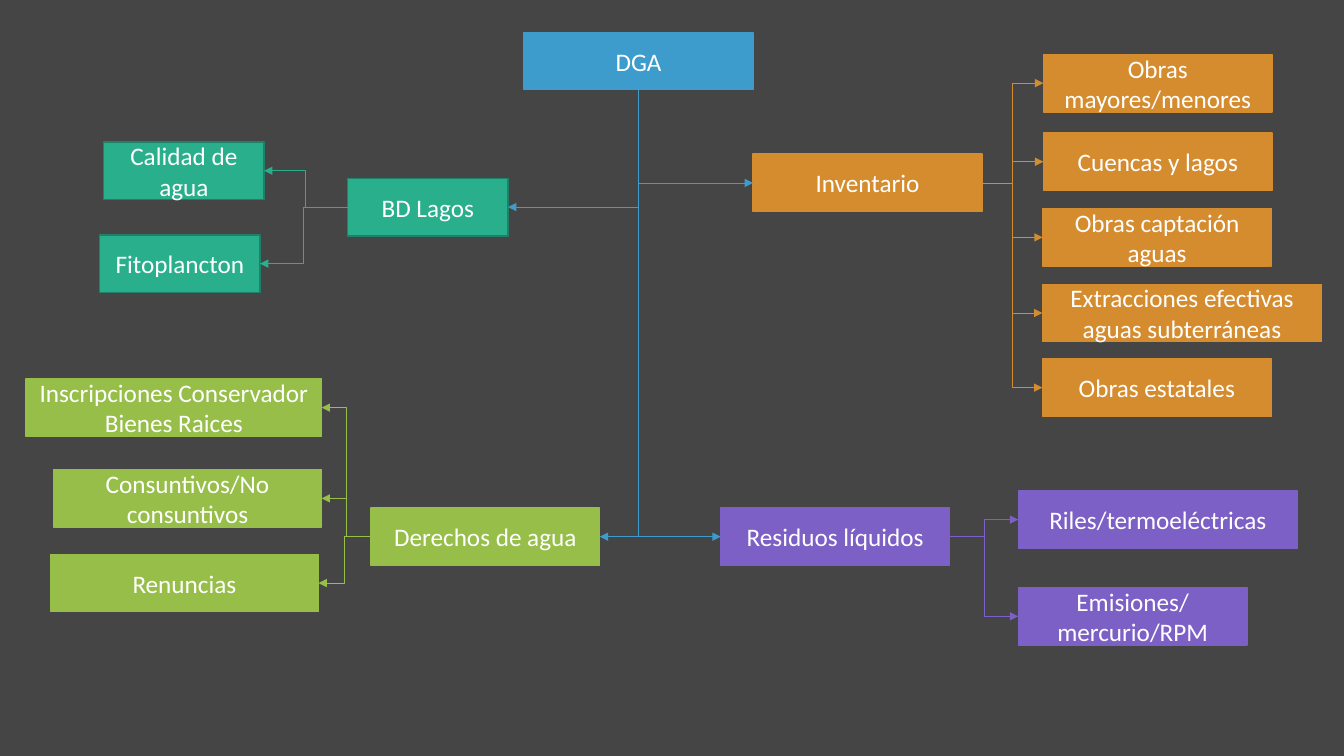
from dataclasses import dataclass

from lxml import etree
from pptx import Presentation
from pptx.dml.color import RGBColor
from pptx.enum.shapes import MSO_CONNECTOR, MSO_SHAPE
from pptx.enum.text import MSO_ANCHOR, PP_ALIGN
from pptx.oxml.ns import qn
from pptx.util import Inches, Pt

RECT = MSO_SHAPE.RECTANGLE
ELBOW = MSO_CONNECTOR.ELBOW
MIDDLE = MSO_ANCHOR.MIDDLE
CENTER = PP_ALIGN.CENTER
LEFT, BOTTOM, RIGHT = 1, 2, 3


@dataclass(frozen=True)
class Theme:
    """Colours, type and line sizes of the slide."""
    back: str = "454545"
    text: str = "FFFFFF"
    blue: str = "3D9CCC"
    teal: str = "29AF8C"
    pine: str = "1E8168"
    lime: str = "97BE49"
    gold: str = "D58C2E"
    plum: str = "7C60C6"
    font: str = "Calibri"
    size: int = 18
    edge: float = 1
    wire: float = 0.5


T = Theme()
deck = Presentation()
deck.slide_width, deck.slide_height = Inches(13.333), Inches(7.5)
COL, ROW = deck.slide_width / 100, deck.slide_height / 100
NARROW, BASE, BROAD, WIDE, HIGH = 11.93, 17.03, 19.95, 20.78, 7.6


def rgb(code):
    """Return the colour of a hex code."""
    return RGBColor.from_string(code)


def write(shape, text, size=T.size, color=T.text, align=CENTER):
    """Put formatted text in a shape."""
    frame = shape.text_frame
    frame.word_wrap = True
    frame.vertical_anchor = MIDDLE
    para = frame.paragraphs[0]
    para.alignment = align
    run = para.add_run()
    run.text = text
    run.font.name = T.font
    run.font.size = Pt(size)
    run.font.color.rgb = rgb(color)


def node(slide, text, left, top, width, fill, edge=None):
    """Draw one labelled box, placed in columns and rows."""
    shape = slide.shapes.add_shape(
        RECT, round(left * COL), round(top * ROW),
        round(width * COL), round(HIGH * ROW))
    shape.shadow.inherit = False
    shape.fill.solid()
    shape.fill.fore_color.rgb = rgb(fill)
    shape.line.color.rgb = rgb(edge or fill)
    shape.line.width = Pt(T.edge)
    write(shape, text)
    return shape


def link(slide, start, out, end, into, color):
    """Join two boxes with an elbow arrow."""
    wire = slide.shapes.add_connector(ELBOW, 0, 0, 0, 0)
    wire.begin_connect(start, out)
    wire.end_connect(end, into)
    wire.line.color.rgb = rgb(color)
    wire.line.width = Pt(T.wire)
    props = wire._element.spPr
    etree.SubElement(props.find(qn("a:ln")), qn("a:tailEnd"), type="triangle")
    etree.SubElement(props, qn("a:effectLst"))
    return wire


def drop(slide, root, hub, into):
    """Run an arrow down from the root, then across to a hub."""
    wire = link(slide, root, BOTTOM, hub, into, T.blue)
    wide, high = wire.width, wire.height
    wire.left += (wide - high) // 2
    wire.top += (high - wide) // 2
    wire.width, wire.height = high, wide
    props = wire._element.spPr
    props.find(qn("a:prstGeom")).set("prst", "bentConnector2")
    frame = props.find(qn("a:xfrm"))
    frame.set("rot", str((90 if into == RIGHT else 270) * 60000))
    frame.set("flipH", "0" if into == RIGHT else "1")
    frame.set("flipV", "0")


def branch(slide, box, side, hub, leaves, fill, edge=None):
    """Draw a hub with its leaves on one side and return the hub."""
    left, top, width = box
    text, row, wide = hub
    start = left if side == RIGHT else left + width - wide
    core = node(slide, text, start, top + row, wide, fill, edge)
    tips = [node(slide, name, left + col, top + down, span, fill, edge)
            for name, col, down, span in leaves]
    for tip in tips:
        link(slide, core, side, tip, LEFT + RIGHT - side, fill)
    return core


def chart(slide):
    """Draw the root and its four branches."""
    lakes = branch(slide, (7.42, 18.8, 30.38), LEFT,
                   ("BD Lagos", 4.8, NARROW), [
        ("Calidad de agua", 0.3, 0, NARROW),
        ("Fitoplancton", 0, 12.27, NARROW)], T.teal, T.pine)
    rights = branch(slide, (1.95, 50.13, 42.68), LEFT,
                    ("Derechos de agua", 17.07, BASE), [
        ("Consuntivos/No consuntivos", 2.03, 12, BROAD),
        ("Renuncias", 1.8, 23.2, BROAD),
        ("Inscripciones Conservador Bienes Raices", 0, 0, 21.98)], T.lime)
    stock = branch(slide, (56.03, 7.2, 42.3), RIGHT,
                   ("Inventario", 13.2, BASE), [
        ("Obras mayores/menores", 21.6, 0, BASE),
        ("Cuencas y lagos", 21.6, 10.4, BASE),
        ("Obras captación aguas", 21.55, 20.4, BASE),
        ("Extracciones efectivas aguas subterráneas", 21.53, 30.4, WIDE),
        ("Obras estatales", 21.53, 40.27, BASE)], T.gold)
    waste = branch(slide, (53.63, 64.93, 42.9), RIGHT,
                   ("Residuos líquidos", 2.27, BASE), [
        ("Riles/termoeléctricas", 22.13, 0, WIDE),
        ("Emisiones/mercurio/RPM", 22.13, 12.8, BASE)], T.plum)
    root = node(slide, "DGA", 39, 4.27, BASE, T.blue)
    for hub, into in ((lakes, RIGHT), (stock, LEFT),
                      (rights, RIGHT), (waste, LEFT)):
        drop(slide, root, hub, into)


page = deck.slides.add_slide(deck.slide_layouts[6])
page.background.fill.solid()
page.background.fill.fore_color.rgb = rgb(T.back)
chart(page)
deck.save("out.pptx")
